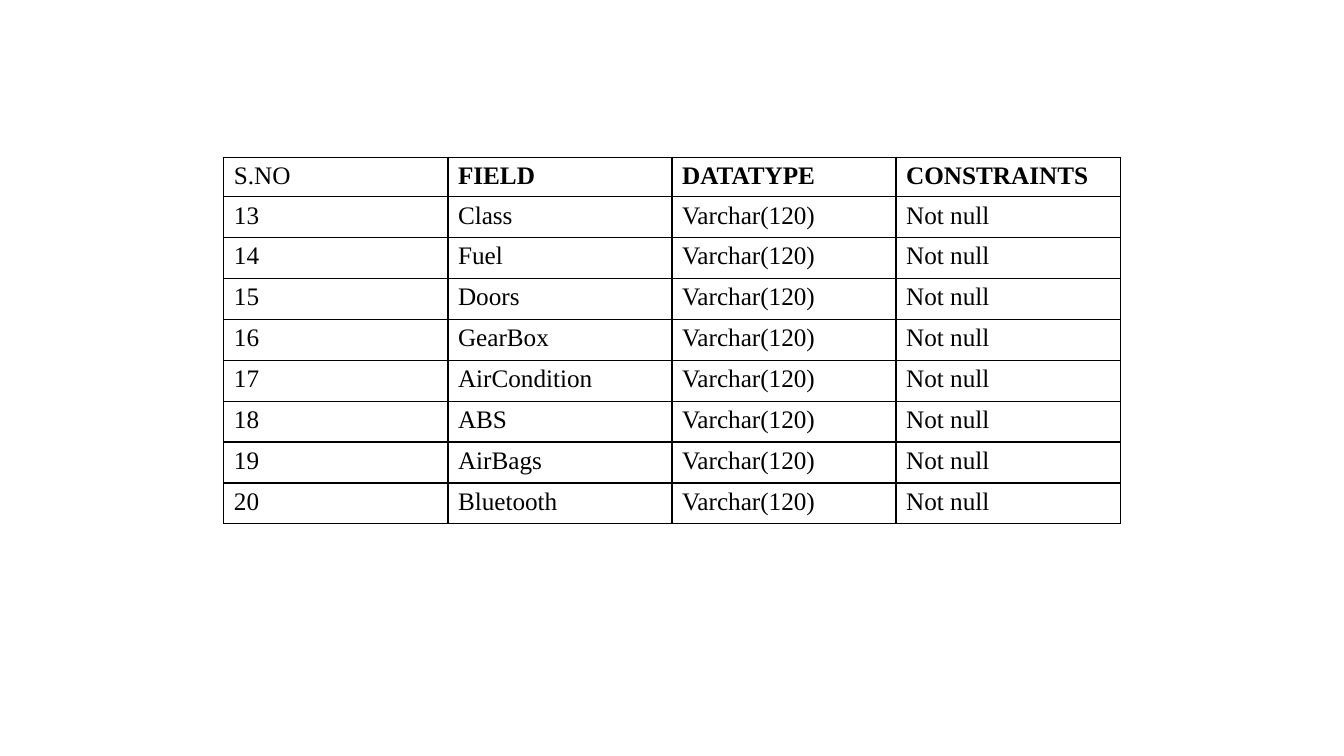
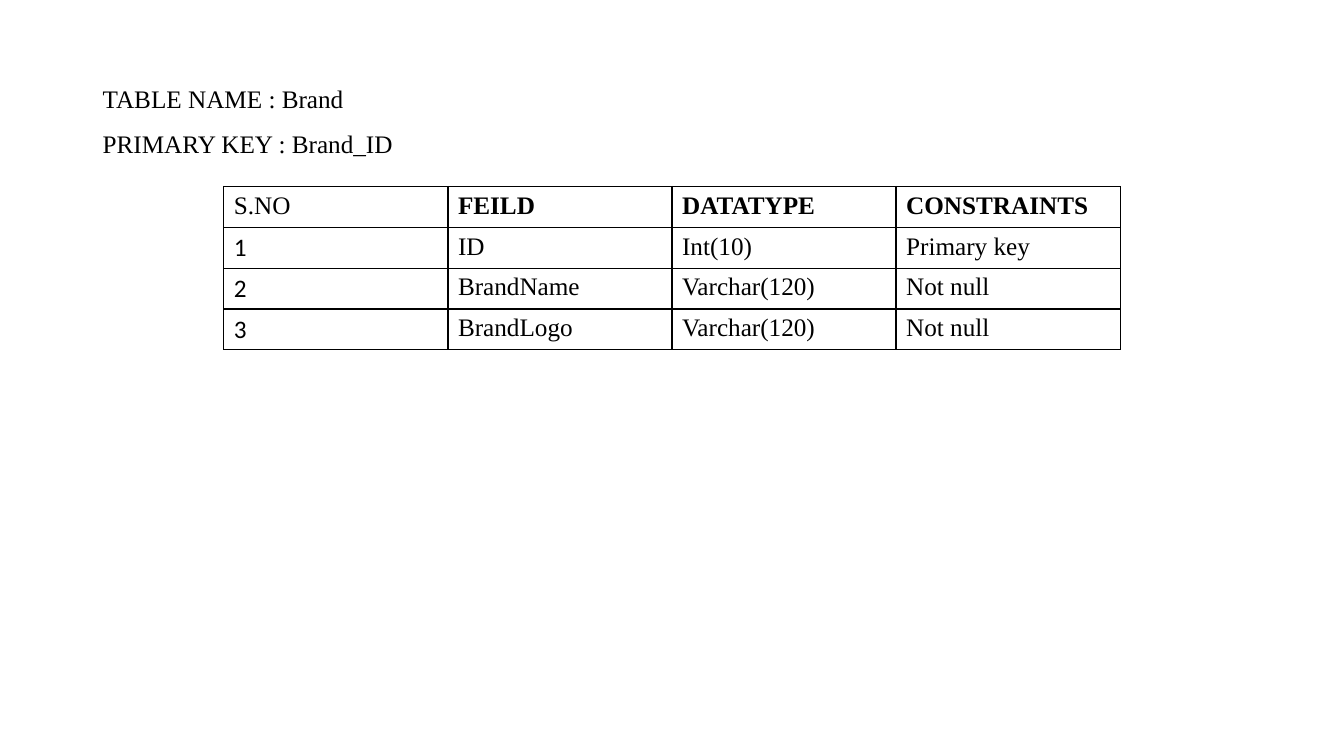
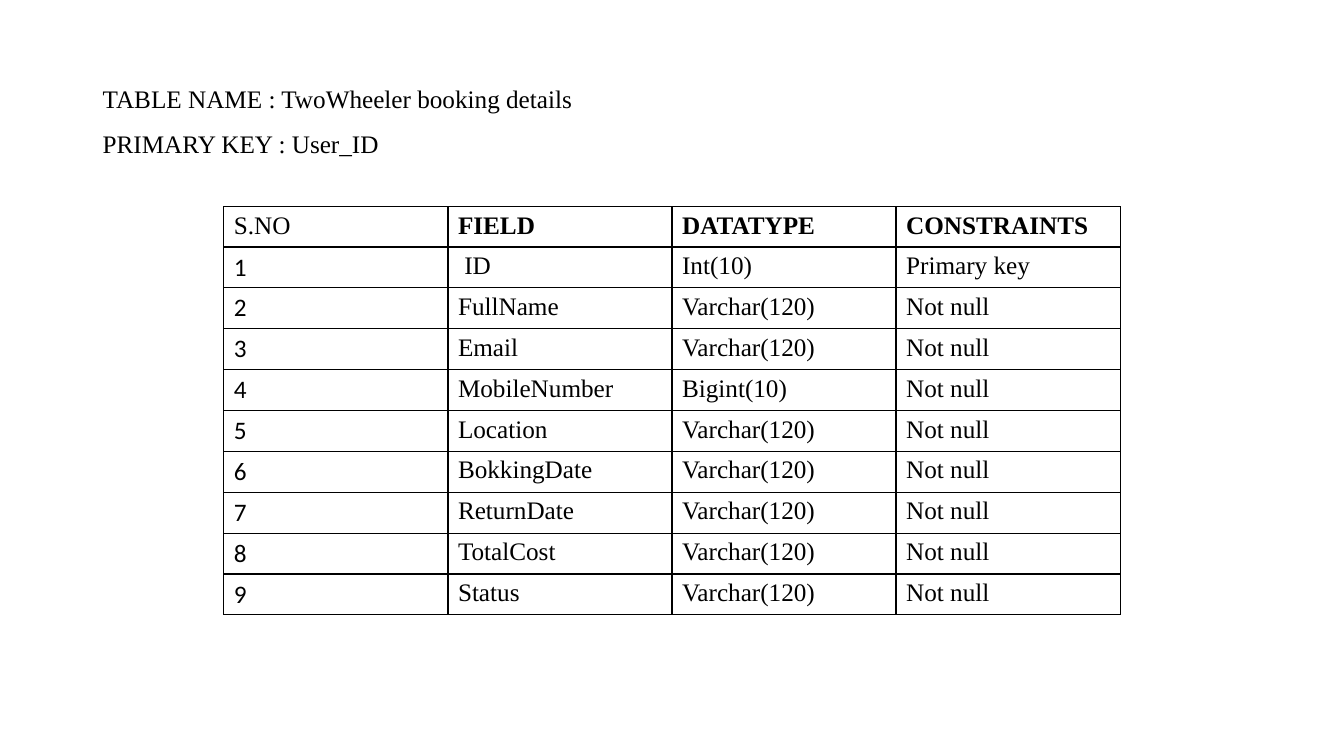
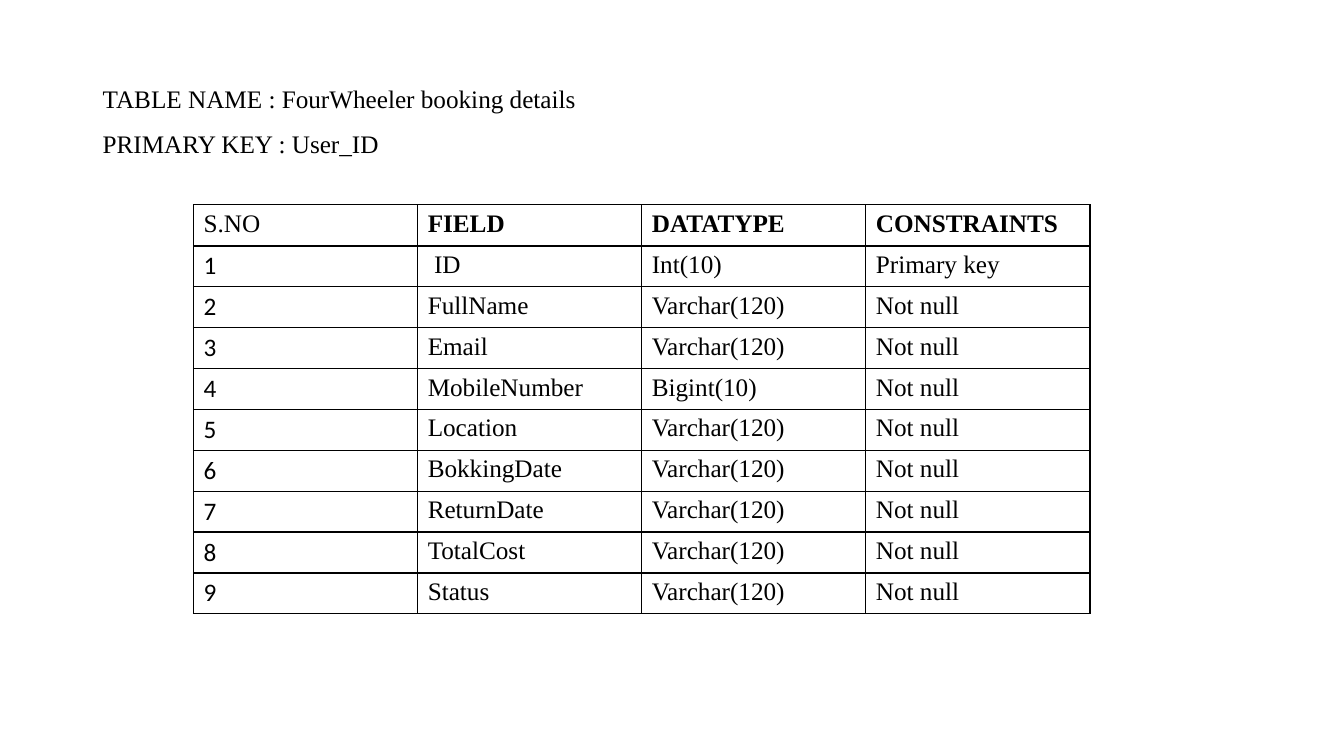
from lxml import etree
from pptx import Presentation
from pptx.dml.color import RGBColor
from pptx.enum.text import MSO_ANCHOR
from pptx.oxml.ns import qn
from pptx.util import Inches, Pt

BLACK = RGBColor(0x00, 0x00, 0x00)
WHITE = RGBColor(0xFF, 0xFF, 0xFF)
SERIF = "Times New Roman"
SANS = "Calibri"
MIDDLE = MSO_ANCHOR.MIDDLE
BLANK_LAYOUT = 6

TEXT = "Varchar(120)"
REQUIRED = "Not null"
KEY = "Primary key"

CAR_FEATURES = [
    (str(number), field, TEXT, REQUIRED)
    for number, field in enumerate(
        ["Class", "Fuel", "Doors", "GearBox", "AirCondition", "ABS",
         "AirBags", "Bluetooth"], start=13)
]
BRAND = [
    ("1", "ID", "Int(10)", KEY),
    ("2", "BrandName", TEXT, REQUIRED),
    ("3", "BrandLogo", TEXT, REQUIRED),
]
BOOKING = [
    ("1", " ID", "Int(10)", KEY),
    ("2", "FullName", TEXT, REQUIRED),
    ("3", "Email", TEXT, REQUIRED),
    ("4", "MobileNumber", "Bigint(10)", REQUIRED),
    ("5", "Location", TEXT, REQUIRED),
    ("6", "BokkingDate", TEXT, REQUIRED),
    ("7", "ReturnDate", TEXT, REQUIRED),
    ("8", "TotalCost", TEXT, REQUIRED),
    ("9", "Status", TEXT, REQUIRED),
]


def add_borders(cell):
    """Draw a thin black line on all four sides; call before filling."""
    properties = cell._tc.get_or_add_tcPr()
    for side in ("a:lnL", "a:lnR", "a:lnT", "a:lnB"):
        line = etree.SubElement(properties, qn(side), w=str(Pt(1)))
        fill = etree.SubElement(line, qn("a:solidFill"))
        etree.SubElement(fill, qn("a:srgbClr"), val=str(BLACK))


class SchemaDeck:
    TABLE_WIDTH = Inches(8.89)

    def __init__(self):
        self.presentation = Presentation()
        self.presentation.slide_width = Inches(13.33)
        self.presentation.slide_height = Inches(7.5)
        self.slide = None

    def new_slide(self):
        layout = self.presentation.slide_layouts[BLANK_LAYOUT]
        self.slide = self.presentation.slides.add_slide(layout)

    def style(self, paragraph, font_name=SERIF, bold=False):
        font = paragraph.font
        font.name = font_name
        font.size = Pt(18)
        font.bold = bold
        font.color.rgb = BLACK

    def heading(self, table_name, primary_key):
        box = self.slide.shapes.add_textbox(
            Inches(0.92), Inches(0.4), Inches(11.5), Inches(1.45))
        frame = box.text_frame
        frame.word_wrap = True
        frame.vertical_anchor = MIDDLE
        paragraph = frame.paragraphs[0]
        paragraph.text = f"TABLE NAME : {table_name}\vPRIMARY KEY : {primary_key}"
        paragraph.line_spacing = 1.5
        self.style(paragraph)

    def field_table(self, fields, left, top, height, header_height,
                    field_label="FIELD", number_font=SANS):
        header = ("S.NO", field_label, "DATATYPE", "CONSTRAINTS")
        rows = [header, *fields]
        table = self.slide.shapes.add_table(
            len(rows), len(header), Inches(left), Inches(top),
            self.TABLE_WIDTH, Inches(height)).table
        table.first_row = False
        table.horz_banding = False
        field_height = Inches((height - header_height) / len(fields))
        for row_index, values in enumerate(rows):
            is_header = row_index == 0
            table.rows[row_index].height = (
                Inches(header_height) if is_header else field_height)
            for column, value in enumerate(values):
                is_number = column == 0
                font_name = number_font if is_number and not is_header else SERIF
                self.cell(table.cell(row_index, column), value, font_name,
                          bold=is_header and not is_number)

    def cell(self, cell, value, font_name, bold):
        add_borders(cell)
        cell.fill.solid()
        cell.fill.fore_color.rgb = WHITE
        paragraph = cell.text_frame.paragraphs[0]
        paragraph.text = value
        self.style(paragraph, font_name, bold)


def main():
    deck = SchemaDeck()

    deck.new_slide()
    deck.field_table(CAR_FEATURES, left=2.22, top=1.56, height=3.64,
                     header_height=0.39, number_font=SERIF)

    deck.new_slide()
    deck.heading("Brand", "Brand_ID")
    deck.field_table(BRAND, left=2.22, top=1.85, height=1.62,
                     header_height=0.41, field_label="FEILD")

    deck.new_slide()
    deck.heading("TwoWheeler booking details", "User_ID")
    deck.field_table(BOOKING, left=2.22, top=2.05, height=4.03,
                     header_height=0.38)

    deck.new_slide()
    deck.heading("FourWheeler booking details", "User_ID")
    deck.field_table(BOOKING, left=1.92, top=2.03, height=4.06,
                     header_height=0.41)

    deck.presentation.save("out.pptx")


if __name__ == "__main__":
    main()
